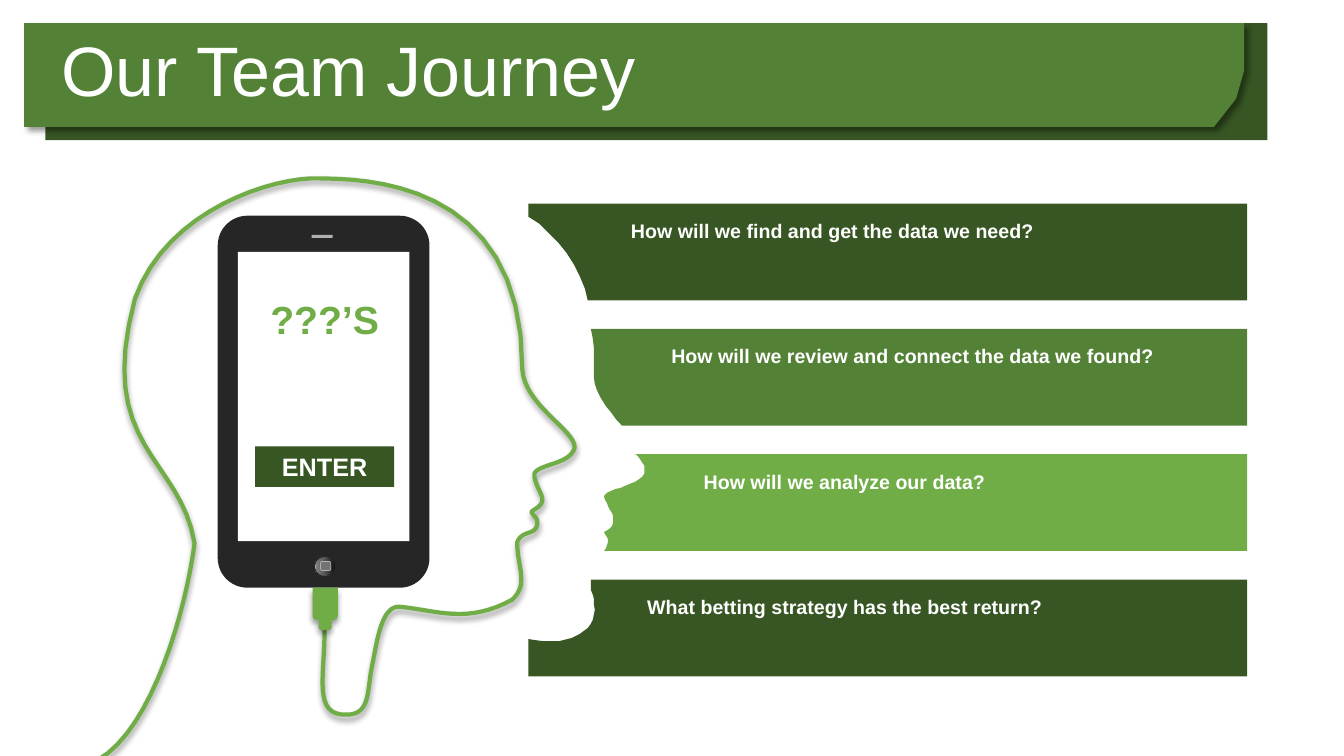
from dataclasses import dataclass

from lxml.etree import SubElement
from pptx import Presentation
from pptx.dml.color import RGBColor
from pptx.enum.shapes import MSO_SHAPE
from pptx.enum.text import MSO_ANCHOR, PP_ALIGN
from pptx.oxml.ns import qn
from pptx.shapes.autoshape import Shape
from pptx.util import Inches, Pt

Point = tuple[float, float]

WHITE = RGBColor(0xFF, 0xFF, 0xFF)
DARK_GREEN = RGBColor(0x37, 0x56, 0x23)
MID_GREEN = RGBColor(0x53, 0x81, 0x35)
LIGHT_GREEN = RGBColor(0x70, 0xAD, 0x47)
CASE = RGBColor(0x26, 0x26, 0x26)
SILVER = RGBColor(0xB0, 0xB0, 0xB0)
BUTTON_ICON = RGBColor(0x73, 0x73, 0x73)
BUTTON_STOPS = [(0, "0F0F0F"), (56, "595959"), (91, "808080"), (100, "BFBFBF")]

BAR_TOP, BAR_RIGHT, BAR_HEIGHT = 2.02, 12.37, 0.96
BAR_PITCH = (5.75 - BAR_TOP) / 3
CURVE_STEPS = 16


@dataclass
class Bar:
    """A question bar; face_edge runs upwards between its two left corners."""
    question: str
    fill: RGBColor
    text_left: float
    bottom_left: float
    top_left: float
    face_edge: list[Point]


BARS = [
    Bar("How will we find and get the data we need?", DARK_GREEN, 6.16, 5.83, 5.24,
        [(5.8, 2.86), (5.75, 2.74), (5.69, 2.62), (5.62, 2.51), (5.54, 2.41),
         (5.44, 2.31), (5.35, 2.22), (5.24, 2.15)]),
    Bar("How will we review and connect the data we found?", MID_GREEN, 6.56, 6.17, 5.86,
        [(6.11, 4.16), (6.06, 4.09), (6.01, 4.03), (5.96, 3.95), (5.92, 3.87),
         (5.9, 3.81), (5.89, 3.74), (5.89, 3.45), (5.88, 3.36)]),
    Bar("How will we analyze our data?", LIGHT_GREEN, 6.88, 5.99, 6.3,
        [(6.01, 5.44), (6.02, 5.41), (6.03, 5.38), (6.03, 5.35), (6.02, 5.33),
         (6, 5.3), (5.99, 5.28), (6.04, 5.25), (6.07, 5.22), (6.08, 5.19),
         (6.08, 5.12), (6.07, 5.09), (6.05, 5.06), (6.03, 5.02), (6.02, 4.99),
         (6, 4.96), (5.99, 4.92), (6.02, 4.89), (6.06, 4.87), (6.11, 4.85),
         (6.16, 4.84), (6.2, 4.82), (6.25, 4.8), (6.3, 4.78), (6.33, 4.76),
         (6.37, 4.73), (6.39, 4.7), (6.39, 4.62), (6.37, 4.59), (6.35, 4.56),
         (6.33, 4.53), (6.31, 4.51)]),
    Bar("What betting strategy has the best return?", DARK_GREEN, 6.32, 5.24, 5.86,
        [(5.24, 6.34), (5.3, 6.35), (5.38, 6.36), (5.55, 6.36), (5.63, 6.34),
         (5.67, 6.33), (5.71, 6.31), (5.75, 6.29), (5.79, 6.26), (5.83, 6.23),
         (5.86, 6.19), (5.88, 6.15), (5.89, 6.1), (5.9, 6.05), (5.89, 5.99),
         (5.89, 5.94), (5.88, 5.9), (5.86, 5.85), (5.86, 5.8)]),
]

BANNER = [(0.24, 0.23), (12.34, 0.23), (12.34, 0.7), (12.26, 0.98), (12.04, 1.26),
          (0.24, 1.26)]
PLUG = [(3.1, 5.83), (3.35, 5.83), (3.35, 6.11), (3.34, 6.14), (3.31, 6.15),
        (3.29, 6.15), (3.29, 6.23), (3.27, 6.25), (3.18, 6.25), (3.16, 6.23),
        (3.16, 6.15), (3.14, 6.15), (3.11, 6.14), (3.1, 6.11)]
HEAD_START = (3.22, 6.24)
# Each curve: two control points, then the end point
HEAD_CURVES = [
    ((3.22, 6.72), (3.1, 7.1), (3.44, 7.09)),
    ((3.68, 7.09), (3.64, 6.84), (3.69, 6.61)),
    ((3.74, 6.37), (3.78, 6), (3.97, 6.02)),
    ((4.35, 6.06), (4.64, 6.19), (5.08, 5.95)),
    ((5.25, 5.79), (5.13, 5.63), (5.13, 5.38)),
    ((5.18, 5.25), (5.32, 5.32), (5.33, 5.19)),
    ((5.33, 5.13), (5.3, 5.13), (5.27, 5.08)),
    ((5.31, 5.04), (5.37, 5.03), (5.38, 4.96)),
    ((5.38, 4.89), (5.3, 4.81), (5.3, 4.7)),
    ((5.34, 4.6), (5.66, 4.61), (5.7, 4.44)),
    ((5.71, 4.27), (5.2, 4.02), (5.18, 3.66)),
    ((5.19, 1.74), (3.53, 1.78), (3.17, 1.77)),
    ((2.73, 1.75), (1.66, 2.07), (1.34, 2.96)),
    ((0.94, 4.44), (1.79, 4.53), (1.93, 5.39)),
    ((1.85, 6.02), (1.52, 7.23), (0.97, 7.54)),
]

prs = Presentation()
prs.slide_width, prs.slide_height = Inches(13.33), Inches(7.5)
shapes = prs.slides.add_slide(prs.slide_layouts[6]).shapes


def style(s: Shape, fill: RGBColor | None, line: RGBColor | None = None,
          line_width: float = 1, shadow_angle: int | None = None) -> Shape:
    s.shadow.inherit = False
    if fill is None:
        s.fill.background()
    else:
        s.fill.solid()
        s.fill.fore_color.rgb = fill
    if line is None:
        s.line.fill.background()
    else:
        s.line.color.rgb = line
        s.line.width = Pt(line_width)
    if shadow_angle is not None:
        effects = s._element.spPr.find(qn("a:effectLst"))
        shadow = SubElement(effects, qn("a:outerShdw"), blurRad=str(Pt(4)),
                            dist=str(Pt(3)), dir=str(shadow_angle * 60000), rotWithShape="0")
        color = SubElement(shadow, qn("a:srgbClr"), val="000000")
        SubElement(color, qn("a:alpha"), val="40000")
    return s


def add_preset(kind: MSO_SHAPE, left: float, top: float, width: float, height: float,
               fill: RGBColor, **look) -> Shape:
    s = shapes.add_shape(kind, Inches(left), Inches(top), Inches(width), Inches(height))
    return style(s, fill, **look)


def add_outline(points: list[Point], fill: RGBColor | None, close: bool = True, **look) -> Shape:
    corners = [(Inches(x), Inches(y)) for x, y in points]
    builder = shapes.build_freeform(*corners[0])
    builder.add_line_segments(corners[1:], close=close)
    return style(builder.convert_to_shape(), fill, **look)


def write(s: Shape, text: str, *, size: float, color: RGBColor = WHITE, bold: bool = True,
          align: PP_ALIGN = PP_ALIGN.LEFT, line_spacing: float | None = None) -> None:
    tf = s.text_frame
    tf.word_wrap = True
    tf.vertical_anchor = MSO_ANCHOR.MIDDLE
    p = tf.paragraphs[0]
    p.alignment = align
    p.line_spacing = line_spacing
    r = p.add_run()
    r.text = text
    r.font.name, r.font.size, r.font.bold = "Arial", Pt(size), bold
    r.font.color.rgb = color


def add_text(left: float, top: float, width: float, height: float, text: str, **look) -> None:
    write(shapes.add_textbox(Inches(left), Inches(top), Inches(width), Inches(height)),
          text, **look)


def curve_points(start: Point, curves: list[tuple[Point, Point, Point]]) -> list[Point]:
    """Sample a chain of cubic Bézier curves."""
    points = [start]
    for c1, c2, end in curves:
        begin = points[-1]
        for step in range(1, CURVE_STEPS + 1):
            t = step / CURVE_STEPS
            u = 1 - t
            points.append(tuple(u**3 * a + 3 * u * u * t * b + 3 * u * t * t * c + t**3 * d
                                for a, b, c, d in zip(begin, c1, c2, end)))
    return points


def add_bar(bar: Bar, top: float) -> None:
    bottom = top + BAR_HEIGHT
    corners = [(bar.top_left, top), (BAR_RIGHT, top), (BAR_RIGHT, bottom),
               (bar.bottom_left, bottom)]
    add_outline(corners + bar.face_edge, bar.fill)
    add_text(bar.text_left, top + 0.1, 5.08, 0.34, bar.question, size=14)


def add_phone() -> None:
    case = add_preset(MSO_SHAPE.ROUNDED_RECTANGLE, 2.16, 2.14, 2.1, 3.69, CASE)
    case.adjustments[0] = 0.14
    add_preset(MSO_SHAPE.RECTANGLE, 3.09, 2.33, 0.21, 0.03, SILVER)
    button = add_preset(MSO_SHAPE.OVAL, 3.12, 5.52, 0.21, 0.2, CASE, line=CASE, line_width=0)
    button.fill.gradient()
    button.fill.gradient_angle = 180
    stops = button._element.spPr.find(qn("a:gradFill")).find(qn("a:gsLst"))
    stops.clear()
    for position, color in BUTTON_STOPS:
        stop = SubElement(stops, qn("a:gs"), pos=str(position * 1000))
        SubElement(stop, qn("a:srgbClr"), val=color)
    add_preset(MSO_SHAPE.ROUNDED_RECTANGLE, 3.18, 5.57, 0.1, 0.09, BUTTON_ICON,
               line=SILVER, line_width=0.5)
    add_preset(MSO_SHAPE.RECTANGLE, 2.36, 2.5, 1.7, 2.87, WHITE)


add_preset(MSO_SHAPE.RECTANGLE, 0.45, 0.23, 12.12, 1.16, DARK_GREEN)
add_outline(BANNER, MID_GREEN, shadow_angle=45)
add_text(0.51, 0.36, 10.98, 0.79, "Our Team Journey", size=50, bold=False, line_spacing=0.8)

for i, bar in enumerate(BARS):
    add_bar(bar, BAR_TOP + i * BAR_PITCH)

add_phone()
add_outline(curve_points(HEAD_START, HEAD_CURVES), None, close=False,
            line=LIGHT_GREEN, line_width=3, shadow_angle=90)
add_outline(PLUG, LIGHT_GREEN, shadow_angle=90)
add_text(2.46, 2.88, 1.52, 0.57, "???’S", size=28, color=LIGHT_GREEN, align=PP_ALIGN.CENTER)
enter = add_preset(MSO_SHAPE.RECTANGLE, 2.53, 4.43, 1.38, 0.4, DARK_GREEN)
write(enter, "ENTER", size=18, align=PP_ALIGN.CENTER)

prs.save("out.pptx")
